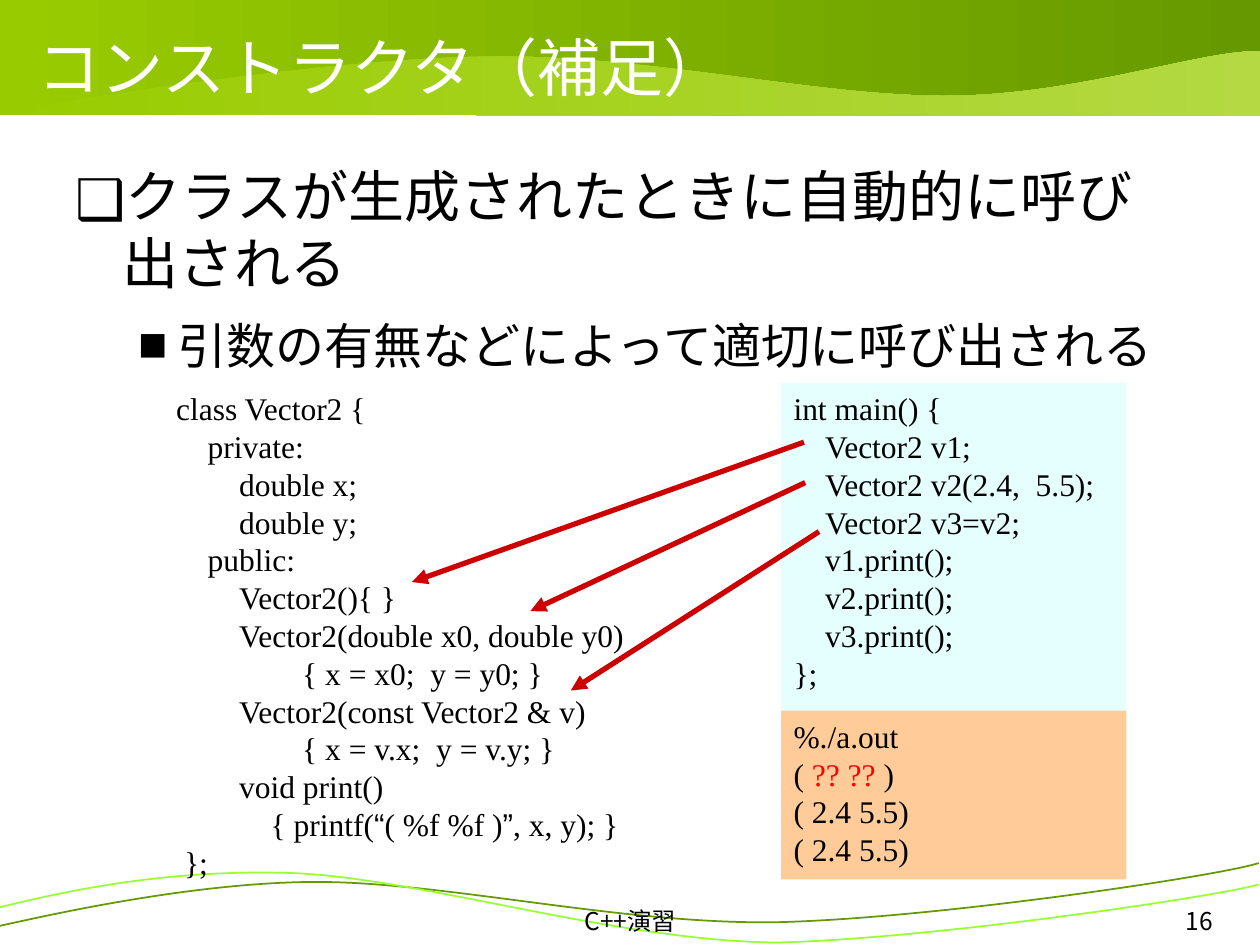
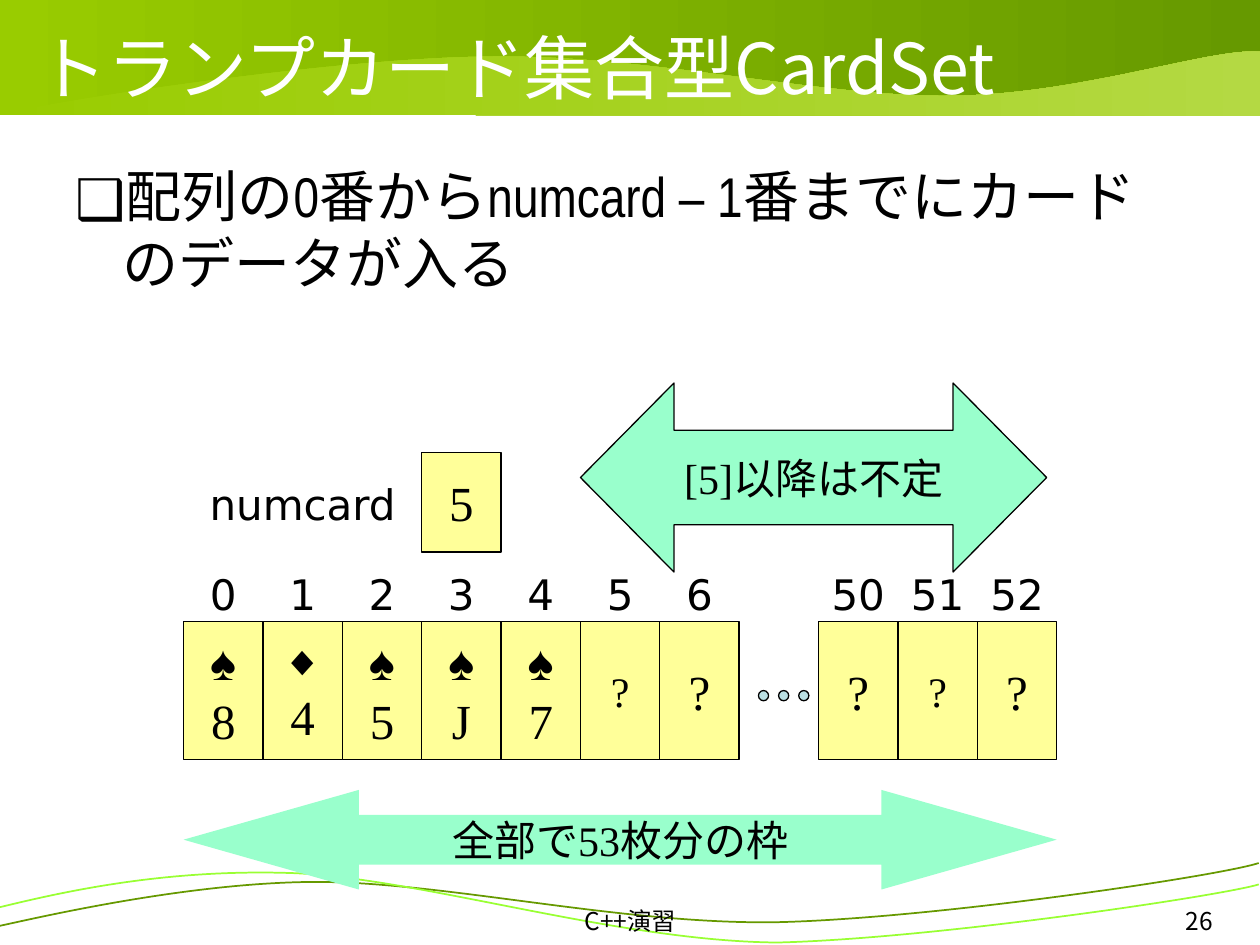
from dataclasses import dataclass
from typing import Optional

from lxml import etree
from pptx import Presentation
from pptx import util as u
from pptx.dml.color import RGBColor
from pptx.enum import shapes, text
from pptx.oxml import ns

BLACK = RGBColor(0x00, 0x00, 0x00)
WHITE = RGBColor(0xFF, 0xFF, 0xFF)
RED = RGBColor(0xFF, 0x00, 0x00)
ARROW_RED = RGBColor(0xCC, 0x00, 0x00)
LIME = RGBColor(0x99, 0xCC, 0x00)
PALE_LIME = RGBColor(0xB4, 0xD9, 0x43)
GREEN = RGBColor(0x66, 0x99, 0x00)
BRIGHT_GREEN = RGBColor(0x99, 0xFF, 0x33)
CODE_BLUE = RGBColor(0xCC, 0xFF, 0xFF)
ORANGE = RGBColor(0xFF, 0xCC, 0x99)
YELLOW = RGBColor(0xFF, 0xFF, 0x99)
MINT = RGBColor(0x99, 0xFF, 0xCC)
DOT_BLUE = RGBColor(0xBB, 0xE0, 0xE3)

GOTHIC = "Noto Sans CJK JP"
NARROW = "Arial Narrow"
ARIAL = "Arial"
SERIF = "Times New Roman"
SANS = "DejaVu Sans"

LEFT, CENTER, RIGHT = text.PP_ALIGN.LEFT, text.PP_ALIGN.CENTER, text.PP_ALIGN.RIGHT
TOP, MIDDLE = text.MSO_ANCHOR.TOP, text.MSO_ANCHOR.MIDDLE
RECT = shapes.MSO_SHAPE.RECTANGLE
OVAL = shapes.MSO_SHAPE.OVAL
DOUBLE_ARROW = shapes.MSO_SHAPE.LEFT_RIGHT_ARROW


@dataclass
class Area:
    left: float
    top: float
    width: float
    height: float

    def lengths(self) -> list:
        return [u.Pt(v) for v in (self.left, self.top, self.width, self.height)]


@dataclass
class Span:
    text: str
    size: float = 18
    font: str = SERIF
    color: RGBColor = BLACK


@dataclass
class Bullet:
    char: str
    percent: int
    hang: float


@dataclass
class Para:
    spans: list
    align: text.PP_ALIGN = LEFT
    indent: float = 0
    spacing: Optional[float] = None
    before: float = 0
    after: float = 0
    bullet: Optional[Bullet] = None


@dataclass
class Wave:
    start: tuple
    curves: list


BAND = Area(0, 0, 720, 65.5)
TITLE = Area(14.4, 15.8, 692, 44)
BODY = Area(36, 88.6, 648, 408)
FOOTER = Area(246.2, 514, 228.2, 16)
NUMBER = Area(532.3, 514, 167.8, 16)

BAND_WAVE = Wave((0, 65.5), [
    (22.3, 59, 185, 33.8, 275, 32.4), (365.8, 30.2, 467.3, 55.4, 541.4, 54.7),
    (615.6, 54.7, 690.5, 27.4, 720, 29.5), (720, 52.6, 720, 49, 720, 66.2),
    (708.5, 66.2, 149.8, 65.5, 0, 65.5)])
FOOT_WAVES = [
    (GREEN, Wave((719.3, 493.2), [
        (697.7, 500.4, 534.2, 524.9, 444.2, 527), (354.2, 528.5, 252, 503.3, 177.8, 504),
        (103.7, 504.7, 16.6, 525.6, -0.7, 529.2)])),
    (BRIGHT_GREEN, Wave((719.3, 505.4), [
        (697.7, 511.9, 534.2, 536.4, 444.2, 538.6), (352.8, 537.8, 243.4, 502.6, 169.2, 499),
        (95, 496.1, 35.3, 509.8, 0, 518.4)])),
]


def write(box, paras: list, anchor=TOP, wrap: bool = True, inset: float = 3.6) -> None:
    frame = box.text_frame
    frame.word_wrap = wrap
    frame.vertical_anchor = anchor
    frame.margin_left = frame.margin_right = u.Pt(7.2)
    frame.margin_top = frame.margin_bottom = u.Pt(inset)
    for index, item in enumerate(paras):
        para = frame.paragraphs[0] if index == 0 else frame.add_paragraph()
        para.alignment = item.align
        para.space_before, para.space_after = u.Pt(item.before), u.Pt(item.after)
        if item.spacing:
            para.line_spacing = item.spacing
        props = para._p.get_or_add_pPr()
        props.set("marL", str(u.Pt(item.indent)))
        if item.bullet:
            props.set("indent", str(-u.Pt(item.bullet.hang)))
            etree.SubElement(props, ns.qn("a:buSzPct"), val=str(item.bullet.percent * 1000))
            etree.SubElement(props, ns.qn("a:buFont"), typeface=GOTHIC)
            etree.SubElement(props, ns.qn("a:buChar"), char=item.bullet.char)
        for span in item.spans:
            run = para.add_run()
            run.text = span.text
            run.font.size = u.Pt(span.size)
            run.font.name = span.font
            run.font.color.rgb = span.color
            etree.SubElement(run._r.get_or_add_rPr(), ns.qn("a:ea"), typeface=GOTHIC)


def add_text(page, area: Area, paras: list, **options) -> None:
    write(page.shapes.add_textbox(*area.lengths()), paras, **options)


def add_box(page, kind, area: Area, fill: RGBColor, outlined: bool = True):
    box = page.shapes.add_shape(kind, *area.lengths())
    box.shadow.inherit = False
    box.fill.solid()
    box.fill.fore_color.rgb = fill
    if outlined:
        box.line.color.rgb = BLACK
        box.line.width = u.Pt(0.75)
    else:
        box.line.fill.background()
    return box


def add_double_arrow(page, area: Area, head: float, words: str, outlined: bool) -> None:
    arrow = add_box(page, DOUBLE_ARROW, area, MINT, outlined)
    arrow.adjustments[0], arrow.adjustments[1] = 0.5, head
    write(arrow, [Para([Span(words, 24)], CENTER)], anchor=MIDDLE, wrap=False)


def add_pointer(page, start: tuple, end: tuple) -> None:
    line = page.shapes.add_connector(
        shapes.MSO_CONNECTOR.STRAIGHT, *[u.Pt(v) for v in start + end])
    line.line.color.rgb = ARROW_RED
    line.line.width = u.Pt(3)
    etree.SubElement(line.line._get_or_add_ln(), ns.qn("a:tailEnd"), type="triangle")
    etree.SubElement(line._element.spPr, ns.qn("a:effectLst"))


def add_wave(page, wave: Wave, closed: bool):
    points = [(u.Pt(curve[i]), u.Pt(curve[i + 1])) for curve in wave.curves for i in (0, 2, 4)]
    builder = page.shapes.build_freeform(*[u.Pt(v) for v in wave.start])
    builder.add_line_segments(points, close=closed)
    shape = builder.convert_to_shape()
    shape.shadow.inherit = False
    segments = list(shape._element.iter(ns.qn("a:lnTo")))
    for first in range(0, len(segments), 3):
        curve = etree.Element(ns.qn("a:cubicBezTo"))
        segments[first].addprevious(curve)
        for segment in segments[first:first + 3]:
            curve.append(segment[0])
            segment.getparent().remove(segment)
    return shape


def shade(shape, first: RGBColor, last: RGBColor) -> None:
    shape.fill.gradient()
    shape.fill.gradient_angle = 0
    for stop, color in zip(shape.fill.gradient_stops, (first, last)):
        stop.color.rgb = color
    shape.line.fill.background()


def add_page(deck, title: str, size: float, number: int, body: list):
    page = deck.slides.add_slide(deck.slide_layouts[6])
    shade(add_box(page, RECT, BAND, LIME, False), LIME, GREEN)
    shade(add_wave(page, BAND_WAVE, True), LIME, PALE_LIME)
    for color, wave in FOOT_WAVES:
        curve = add_wave(page, wave, False)
        curve.fill.background()
        curve.line.color.rgb = color
        curve.line.width = u.Pt(1)
    add_text(page, FOOTER, [Para([Span("C++演習", 14, GOTHIC)], CENTER)])
    add_text(page, NUMBER, [Para([Span(str(number), 14, GOTHIC)], RIGHT)])
    add_text(page, TITLE, [Para([Span(title, size, GOTHIC, WHITE)])], anchor=MIDDLE)
    add_text(page, BODY, body)
    return page


def main_point(words: str, font: str) -> Para:
    return Para([Span(words, 32, font)], indent=27, before=8, bullet=Bullet("❑", 100, 27))


def code(rows: list) -> list:
    return [Para([Span(words)], indent=indent) for indent, words in rows]


def build_constructor_page(deck) -> None:
    page = add_page(deck, "コンストラクタ（補足）", 36, 16, [
        main_point("クラスが生成されたときに自動的に呼び出される", GOTHIC),
        Para([Span("引数の有無などによって適切に呼び出される", 28, GOTHIC)], indent=58.5,
             spacing=1.25, before=3, after=3, bullet=Bullet("■", 60, 22.5))])
    class_code = code([
        (0, "class Vector2 {"), (18, "private:"), (36, "double x;"), (36, "double y;"),
        (18, "public:"), (36, "Vector2(){ }"), (36, "Vector2(double x0, double y0)"),
        (72, "{ x = x0;  y = y0; }"), (36, "Vector2(const Vector2 & v)"),
        (72, "{ x = v.x;  y = v.y; }"), (36, "void print()"), (54, "{ printf("),
        (4.5, "};")])
    class_code[11].spans += [Span("“", font=ARIAL), Span("( %f %f )"),
                             Span("”", font=ARIAL), Span(", x, y); }")]
    add_text(page, Area(93.6, 218.9, 272.2, 288.7), class_code, wrap=False)

    main_box = add_box(page, RECT, Area(446.4, 218.9, 197.3, 283.7), CODE_BLUE, False)
    color = main_box._element.spPr.find(ns.qn("a:solidFill"))[0]
    etree.SubElement(color, ns.qn("a:alpha"), val="50000")
    write(main_box, code([
        (0, "int main() {"), (18, "Vector2 v1;"), (18, "Vector2 v2(2.4,  5.5);"),
        (18, "Vector2 v3=v2;"), (18, "v1.print();"), (18, "v2.print();"),
        (18, "v3.print();"), (0, "};")]), wrap=False)

    output = code([(0, "%./a.out"), (0, "( "), (0, "( 2.4 5.5)"), (0, "( 2.4 5.5)")])
    output[1].spans += [Span("?? ??", color=RED), Span(" )")]
    write(add_box(page, RECT, Area(446.4, 406.1, 197.3, 96.5), ORANGE, False), output)

    for start, end in [((459.4, 252.7), (235.4, 332.6)),
                       ((460.1, 275.8), (303.1, 349.2)),
                       ((468, 303.8), (326.2, 394.6))]:
        add_pointer(page, start, end)


def build_card_page(deck) -> None:
    page = add_page(deck, "トランプカード集合型CardSet", 40, 26, [
        main_point("配列の0番からnumcard – 1番までにカードのデータが入る", NARROW)])
    left, pitch = 104.9, 45.36
    spade, small_mark, mark = ("♠", 28), ("?", 24), ("?", 28)
    cards = [
        (0, "0", [spade, ("8", 28)]), (1, "1", [("◆", 24), ("4", 28)]),
        (2, "2", [spade, ("5", 28)]), (3, "3", [spade, ("J", 28)]),
        (4, "4", [spade, ("7", 28)]), (5, "5", [small_mark]), (6, "6", [mark]),
        (8, "50", [mark]), (9, "51", [small_mark]), (10, "52", [mark])]

    def add_cell(column: int, top: float, height: float, lines: list) -> None:
        cell = add_box(page, RECT, Area(left + column * pitch, top, pitch, height), YELLOW)
        write(cell, [Para([Span(words, size)], CENTER) for words, size in lines],
              anchor=MIDDLE, wrap=False)

    def add_label(column: int, top: float, columns: int, words: str) -> None:
        add_text(page, Area(left + column * pitch, top, columns * pitch, 36),
                 [Para([Span(words, 24, SANS)], CENTER)], wrap=columns > 1)

    for column, index, lines in cards:
        add_cell(column, 355, 79.2, lines)
        add_label(column, 321.1, 1, index)
    add_double_arrow(page, Area(left, 451.4, 11 * pitch, 56.9), 1.76, "全部で53枚分の枠", False)
    for dot in range(3):
        add_box(page, OVAL, Area(433.4 + dot * 11.5, 394.6, 5.8, 5.8), DOT_BLUE)
    add_cell(3, 258.5, 56.9, [("5", 28)])
    add_label(0, 270, 3, "numcard")
    add_double_arrow(page, Area(left + 5 * pitch, 218.9, 266.4, 108), 0.495, "[5]以降は不定", True)


deck = Presentation()
deck.slide_width, deck.slide_height = u.Pt(720), u.Pt(540)
build_constructor_page(deck)
build_card_page(deck)
deck.save("out.pptx")
